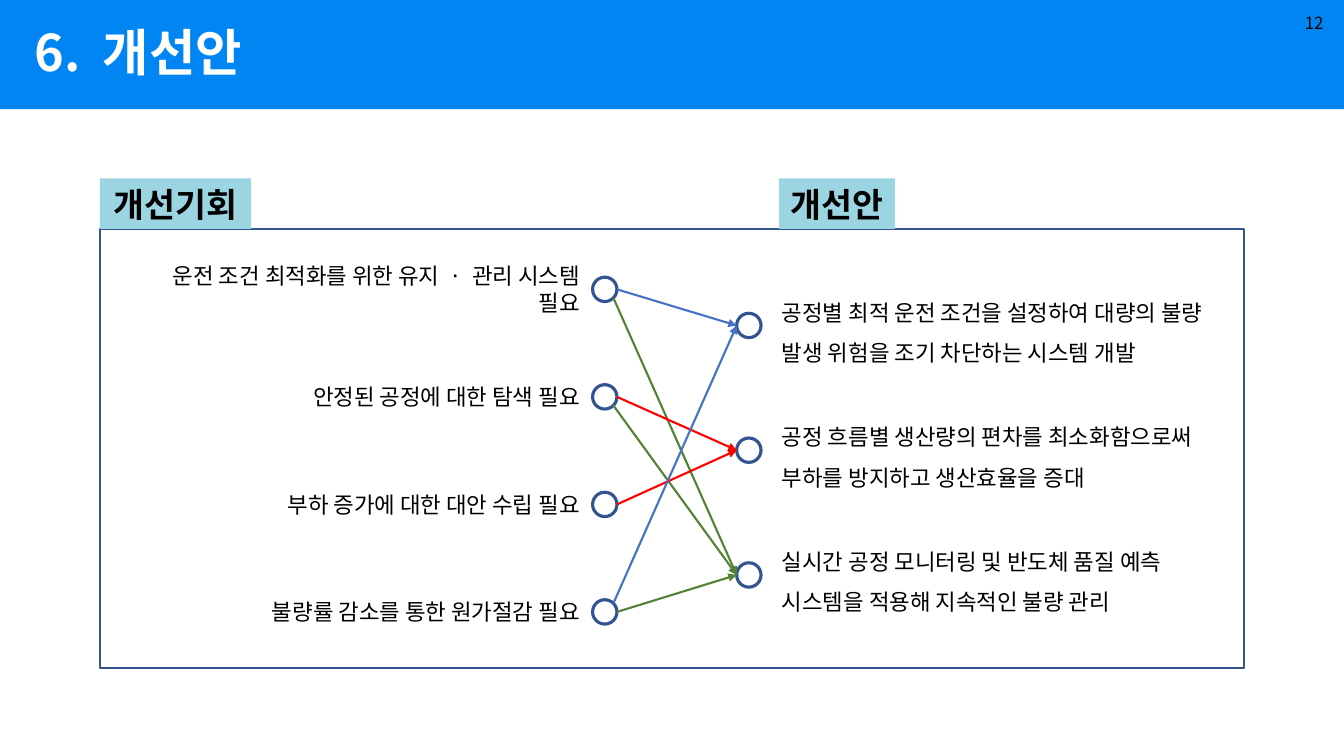
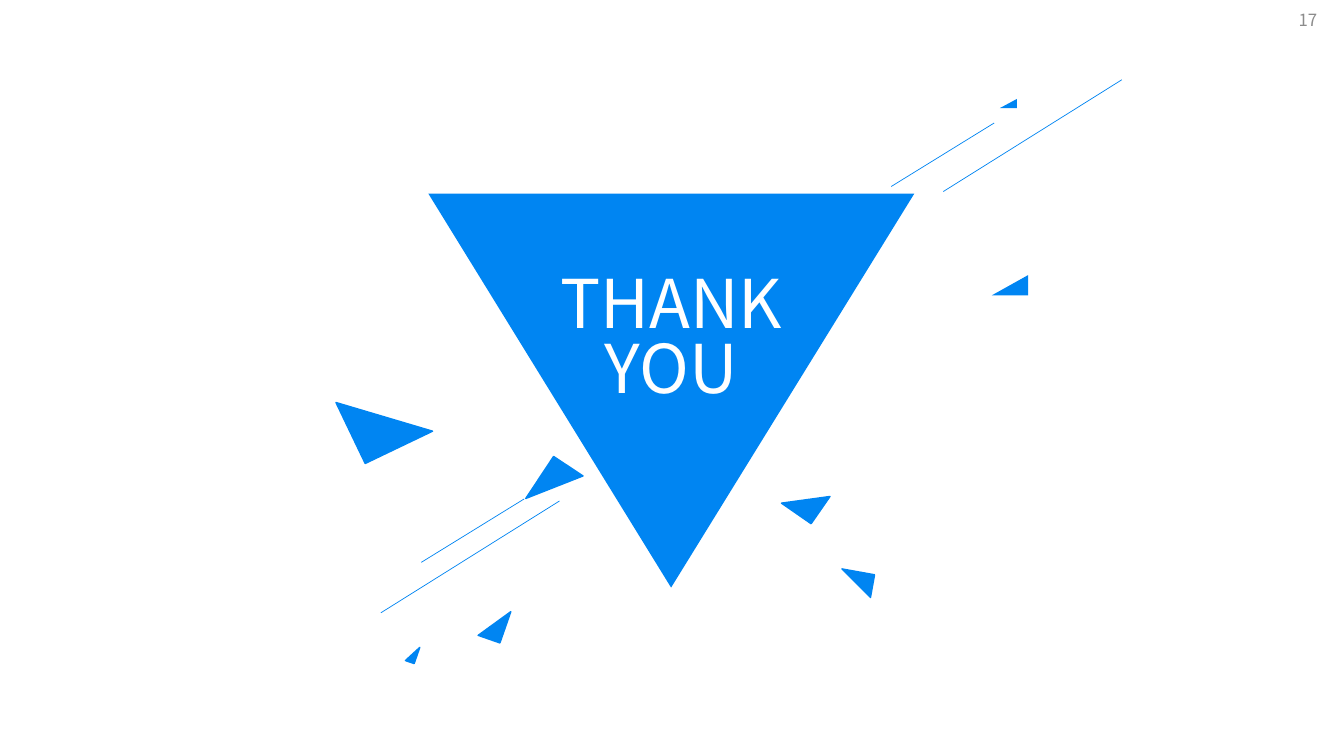
from math import cos, radians, sin

from lxml.etree import SubElement
from pptx import Presentation
from pptx.dml.color import RGBColor
from pptx.enum.shapes import MSO_CONNECTOR as Connector, MSO_SHAPE as Preset
from pptx.enum.text import MSO_ANCHOR as Anchor, PP_ALIGN as Align
from pptx.oxml.ns import qn
from pptx.util import Inches, Pt

COLORS = {
    "brand": "0085F2",
    "label": "9CD5E2",
    "outline": "325491",
    "green": "548235",
    "red": "FF0000",
    "blue": "4472C4",
    "white": "FFFFFF",
    "black": "000000",
    "gray": "8C8C8C",
}
FONT = "Noto Sans CJK KR"
COLUMNS, ROWS = 32, 18


class Deck:
    def __init__(self):
        self.presentation = Presentation()
        self.presentation.slide_width = Inches(13.33)
        self.presentation.slide_height = Inches(7.5)
        self.slide = None

    def add_slide(self):
        self.slide = self.presentation.slides.add_slide(self.presentation.slide_layouts[6])

    def column(self, count):
        return round(self.presentation.slide_width * count / COLUMNS)

    def row(self, count):
        return round(self.presentation.slide_height * count / ROWS)

    def box(self, left, top, width, height):
        return self.column(left), self.row(top), self.column(width), self.row(height)

    def color(self, name):
        return RGBColor.from_string(COLORS[name])

    def paint(self, shape, fill=None, line=None, weight=1):
        shape.shadow.inherit = False
        if fill:
            shape.fill.solid()
            shape.fill.fore_color.rgb = self.color(fill)
        else:
            shape.fill.background()
        if line:
            shape.line.color.rgb = self.color(line)
            shape.line.width = Pt(weight)
        else:
            shape.line.fill.background()
        return shape

    def shape(self, preset, area, fill=None, line=None, weight=1, turn=0):
        shape = self.slide.shapes.add_shape(preset, *self.box(*area))
        shape.rotation = turn
        return self.paint(shape, fill, line, weight)

    def polygon(self, points, fill):
        start, *others = [(self.column(x), self.row(y)) for x, y in points]
        builder = self.slide.shapes.build_freeform(*start, scale=1.0)
        builder.add_line_segments(others, close=True)
        return self.paint(builder.convert_to_shape(), fill)

    def fill_text(self, shape, paragraphs, size, color="black", bold=False,
                  align=Align.LEFT, anchor=Anchor.MIDDLE, spacing=1.0):
        frame = shape.text_frame
        frame.word_wrap = True
        frame.vertical_anchor = anchor
        for index, runs in enumerate(paragraphs):
            paragraph = frame.add_paragraph() if index else frame.paragraphs[0]
            paragraph.alignment = align
            paragraph.line_spacing = spacing
            for text in runs:
                self.add_run(paragraph, text, size, color, bold)

    def add_run(self, paragraph, text, size, color, bold):
        run = paragraph.add_run()
        run.text = text
        run.font.size = Pt(size)
        run.font.bold = bold
        run.font.name = FONT
        run.font.color.rgb = self.color(color)
        properties = run._r.get_or_add_rPr()
        SubElement(properties, qn("a:ea")).set("typeface", FONT)
        if text == " ":
            properties.set("spc", str(round(size * 22)))

    def text(self, area, runs, size, **style):
        shape = self.slide.shapes.add_textbox(*self.box(*area))
        self.fill_text(shape, [runs], size, **style)

    def line(self, start, end, color, weight, arrow=False):
        connector = self.slide.shapes.add_connector(
            Connector.STRAIGHT, self.column(start[0]), self.row(start[1]),
            self.column(end[0]), self.row(end[1]))
        connector.line.color.rgb = self.color(color)
        connector.line.width = Pt(weight)
        properties = connector._element.spPr
        if arrow:
            SubElement(properties.find(qn("a:ln")), qn("a:tailEnd")).set("type", "triangle")
        SubElement(properties, qn("a:effectLst"))

    def title(self, runs):
        self.shape(Preset.RECTANGLE, (0, 0, COLUMNS, 2.6), "brand")
        self.text((0.58, 0.14, 10.92, 2.33), runs, 36, color="white", bold=True, spacing=0.9)

    def page_number(self, number, left, top, color, anchor):
        self.text((left, top, 7.2, 0.96), [number], 12, color=color,
                  align=Align.RIGHT, anchor=anchor)

    def label(self, left, width, text):
        shape = self.shape(Preset.RECTANGLE, (left, 4.25, width, 1.2), "label")
        self.fill_text(shape, [[text]], 24, bold=True, align=Align.CENTER)

    def node(self, center, radius):
        x, y = center
        self.shape(Preset.OVAL, (x - radius, y - radius, 2 * radius, 2 * radius),
                   line="outline", weight=2.25)


def improvement_slide(deck):
    needs = [
        ["운전 조건 최적화를 위한 유지", " ", " · ", " ", "관리 시스템 필요"],
        ["안정된 공정에 대한 탐색 필요"],
        ["부하 증가에 대한 대안 수립 필요"],
        ["불량률 감소를 통한 원가절감 필요"],
    ]
    plans = [
        "공정별 최적 운전 조건을 설정하여 대량의 불량 발생 위험을 조기 차단하는 시스템 개발",
        "공정 흐름별 생산량의 편차를 최소화함으로써 부하를 방지하고 생산효율을 증대",
        "실시간 공정 모니터링 및 반도체 품질 예측 시스템을 적용해 지속적인 불량 관리",
    ]
    needs[0] = ["운전 조건 최적화를 위한 유지", " ", "·", " ", "관리 시스템 필요"]
    links = [
        (0, 2, 45, "green"),
        (1, 1, 0, "red"),
        (0, 0, 0, "blue"),
        (1, 2, 45, "green"),
        (2, 1, 0, "red"),
        (3, 0, -45, "blue"),
        (3, 2, 0, "green"),
    ]
    radius = 0.29
    need_nodes = [(14.4, 6.89 + 2.56 * index) for index in range(len(needs))]
    plan_nodes = [(17.83, 7.75 + 2.97 * index) for index in range(len(plans))]

    deck.add_slide()
    deck.title(["6.", " ", "개선안"])
    deck.page_number("12", 24.55, 0.19, "black", Anchor.TOP)
    deck.shape(Preset.RECTANGLE, (2.38, 5.45, 27.24, 10.46), line="outline")
    deck.label(2.38, 3.6, "개선기회")
    deck.label(18.55, 2.76, "개선안")
    for runs, center in zip(needs, need_nodes):
        deck.text((3.04, center[1] - 0.6, 11, 1.2), runs, 16, align=Align.RIGHT)
        deck.node(center, radius)
    for plan, center in zip(plans, plan_nodes):
        deck.text((18.38, center[1] - 1.29, 11.28, 2.58), [plan], 16, spacing=1.5)
        deck.node(center, radius)
    for need, plan, angle, color in links:
        x, y = need_nodes[need]
        start = x + radius * cos(radians(angle)), y + radius * sin(radians(angle))
        end = plan_nodes[plan][0] - radius, plan_nodes[plan][1]
        deck.line(start, end, color, 1.5, arrow=True)


def closing_slide(deck):
    outlined_shards = [
        (8.26, 9.12, 1.78, 1.61, 334.4),
        (12.6, 11.18, 1.2, 0.84, 123.5),
        (11.38, 14.57, 0.79, 0.55, 289.2),
        (9.62, 15.46, 0.41, 0.22, 289.2),
        (19.99, 13.61, 0.79, 0.55, 190.2),
        (18.79, 11.47, 0.79, 0.86, 304.8),
    ]
    plain_shards = [
        (23.81, 6.36, 0.48, 0.86, 270),
        (23.9, 2.26, 0.22, 0.41, 270),
    ]
    short, long = (2.45, -1.51), (4.25, -2.66)
    streaks = [
        (10.03, 13.39, short),
        (9.07, 14.59, long),
        (21.22, 4.44, short),
        (22.46, 4.56, long),
    ]

    deck.add_slide()
    deck.page_number("17", 24.4, 0, "gray", Anchor.MIDDLE)
    for shards, line in ((outlined_shards, "brand"), (plain_shards, None)):
        for *area, turn in shards:
            deck.shape(Preset.RIGHT_TRIANGLE, area, "brand", line, turn=turn)
    for x, y, (across, down) in streaks:
        deck.line((x, y), (x + across, y + down), "brand", 0.5)
    triangle = deck.polygon([(10.2, 4.61), (21.77, 4.61), (15.98, 13.99)], "brand")
    triangle.text_frame.margin_bottom = Inches(1.02)
    deck.fill_text(triangle, [["THANK"], ["YOU"]], 48, color="white",
                   align=Align.CENTER, spacing=0.8)


def main():
    deck = Deck()
    improvement_slide(deck)
    closing_slide(deck)
    deck.presentation.save("out.pptx")


if __name__ == "__main__":
    main()
